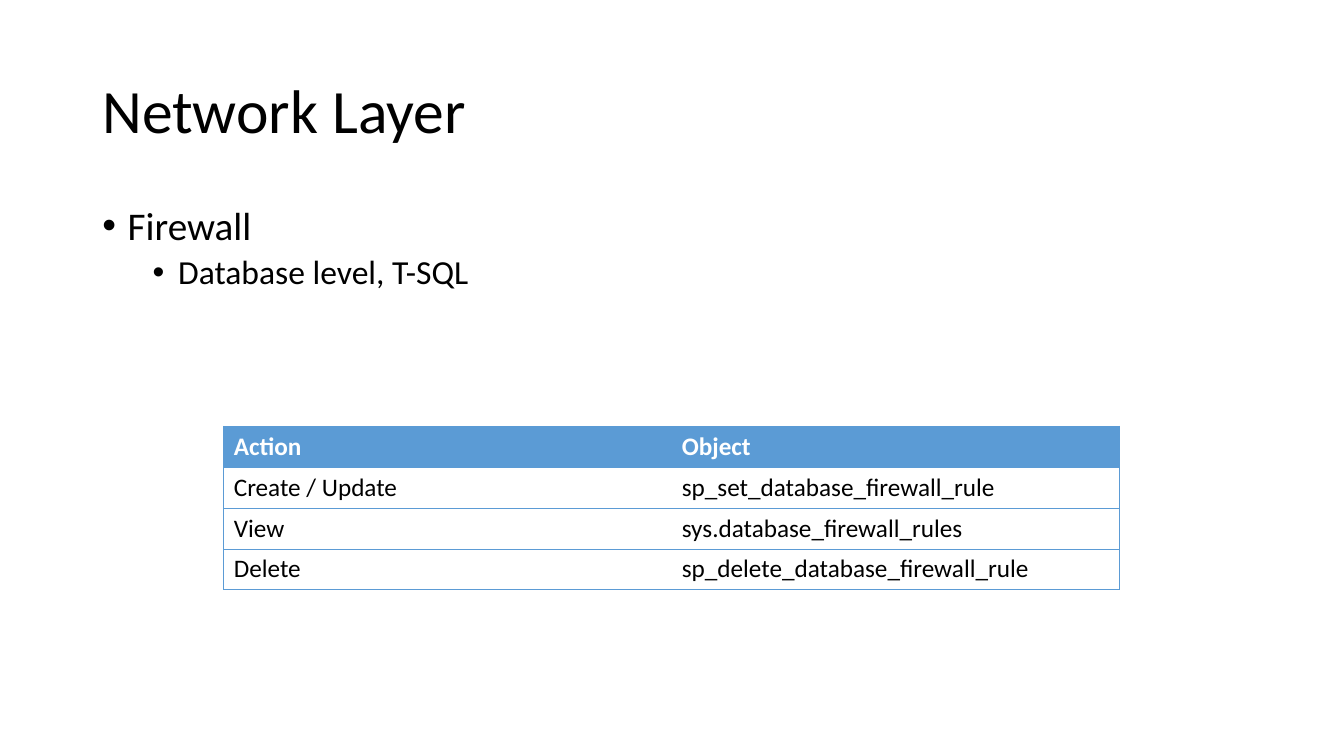
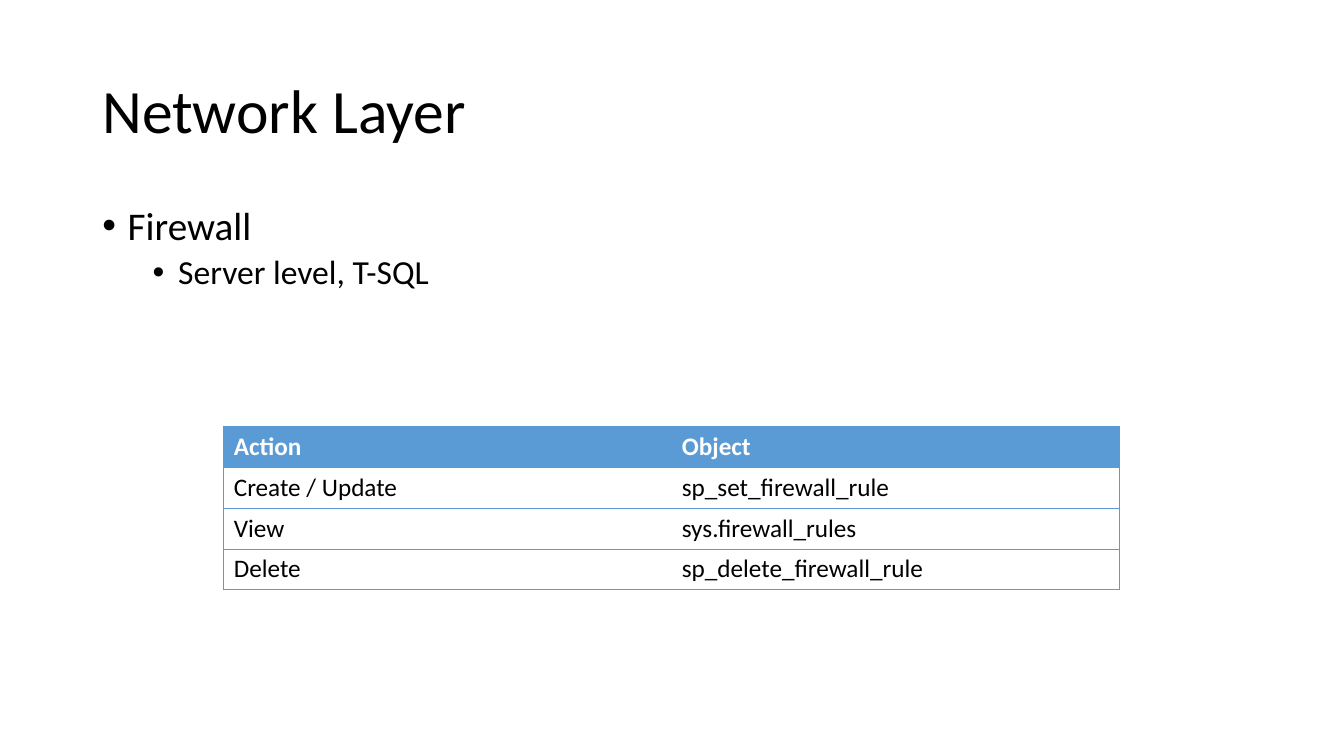
"""Build two slides on T-SQL objects that manage firewall rules."""
from dataclasses import dataclass

from lxml.etree import SubElement
from pptx import Presentation
from pptx.dml.color import RGBColor
from pptx.enum.text import MSO_ANCHOR as Anchor
from pptx.oxml.ns import qn
from pptx.util import Cm, Pt


@dataclass(frozen=True)
class Theme:
    """Hold the colours, font, type sizes and margins of the deck."""
    font: str = "Calibri"
    ink: str = "000000"
    accent: str = "5B9BD5"
    paper: str = "FFFFFF"
    title_size: int = 44
    bullet_sizes: tuple = (28, 24)
    bullet_gaps: tuple = (10, 5)
    table_size: int = 18
    border_width: float = 0.5
    line_spacing: float = 0.9
    left: float = 2.33
    width: float = 29.21


THEME = Theme()
PLAIN_TABLE_STYLE = "{2D5ABB26-0587-4C30-8999-92F81FD0307C}"
HEADER = ("Action", "Object")
TOPICS = (
    ("Database level, T-SQL", (
        ("Create / Update", "sp_set_database_firewall_rule"),
        ("View", "sys.database_firewall_rules"),
        ("Delete", "sp_delete_database_firewall_rule"),
    )),
    ("Server level, T-SQL", (
        ("Create / Update", "sp_set_firewall_rule"),
        ("View", "sys.firewall_rules"),
        ("Delete", "sp_delete_firewall_rule"),
    )),
)


def style_text(paragraph, size, color=THEME.ink, bold=False):
    """Apply the deck font to every run of a paragraph."""
    for run in paragraph.runs:
        run.font.name = THEME.font
        run.font.size = Pt(size)
        run.font.bold = bold
        run.font.color.rgb = RGBColor.from_string(color)


def add_text_frame(slide, top, height, anchor):
    """Add a wrapping text box across the content width."""
    box = slide.shapes.add_textbox(Cm(THEME.left), Cm(top), Cm(THEME.width), Cm(height))
    frame = box.text_frame
    frame.word_wrap = True
    frame.vertical_anchor = anchor
    return frame


def add_title(slide, title):
    """Add the slide title."""
    frame = add_text_frame(slide, 1.01, 3.68, Anchor.MIDDLE)
    frame.text = title
    heading = frame.paragraphs[0]
    heading.line_spacing = THEME.line_spacing
    style_text(heading, THEME.title_size)


def add_bullets(slide, points):
    """Add points as bullets, each one level below the previous."""
    frame = add_text_frame(slide, 5.07, 12.09, Anchor.TOP)
    frame.text = "\n".join(points)
    for level, point in enumerate(frame.paragraphs):
        point.level = level
        point.line_spacing = THEME.line_spacing
        point.space_before = Pt(THEME.bullet_gaps[level])
        style_text(point, THEME.bullet_sizes[level])
        properties = point._p.get_or_add_pPr()
        properties.set("marL", str(Cm(0.64 + 1.27 * level)))
        properties.set("indent", str(Cm(-0.64)))
        SubElement(properties, qn("a:buFont"), typeface="Arial")
        SubElement(properties, qn("a:buChar"), char="•")


def add_borders(cell, sides):
    """Draw accent lines on the named sides of a cell."""
    properties = cell._tc.get_or_add_tcPr()
    for side in sides:
        line = SubElement(properties, qn(f"a:ln{side}"), w=str(Pt(THEME.border_width)))
        fill = SubElement(line, qn("a:solidFill"))
        SubElement(fill, qn("a:srgbClr"), val=THEME.accent)


def add_rule_table(slide, rows):
    """Add a table with a filled header and no inner vertical line."""
    records = (HEADER, *rows)
    frame = slide.shapes.add_table(
        len(records), len(HEADER), Cm(5.64), Cm(10.74), Cm(22.58), Cm(1.03 * len(records)))
    for style in frame.element.iter(qn("a:tableStyleId")):
        style.text = PLAIN_TABLE_STYLE
    table = frame.table
    table.horz_banding = False
    for row, record in enumerate(records):
        for column, entry in enumerate(record):
            cell = table.cell(row, column)
            cell.text = entry
            add_borders(cell, "LTB" if column == 0 else "RTB")
            is_header = row == 0
            if is_header:
                cell.fill.solid()
                cell.fill.fore_color.rgb = RGBColor.from_string(THEME.accent)
            else:
                cell.fill.background()
            style_text(cell.text_frame.paragraphs[0], THEME.table_size,
                       THEME.paper if is_header else THEME.ink, is_header)


def main():
    """Build and save the deck."""
    deck = Presentation()
    deck.slide_width, deck.slide_height = Cm(33.87), Cm(19.05)
    for scope, rows in TOPICS:
        slide = deck.slides.add_slide(deck.slide_layouts[6])
        add_title(slide, "Network Layer")
        add_bullets(slide, ("Firewall", scope))
        add_rule_table(slide, rows)
    deck.save("out.pptx")


if __name__ == "__main__":
    main()
